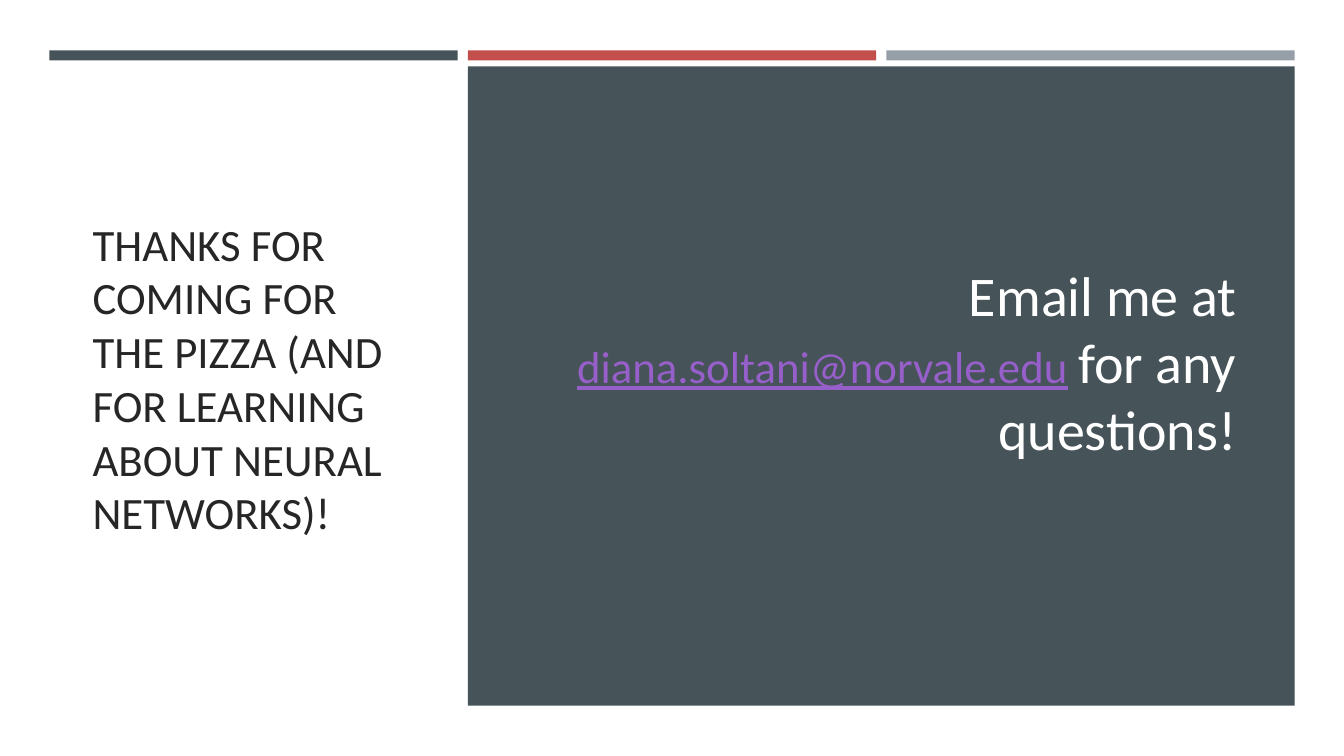
from pptx import Presentation
from pptx.dml.color import RGBColor
from pptx.enum.shapes import MSO_SHAPE
from pptx.enum.text import MSO_ANCHOR, PP_ALIGN
from pptx.util import Inches, Pt

WHITE = RGBColor(0xFF, 0xFF, 0xFF)
INK = RGBColor(0x26, 0x26, 0x26)
SLATE = RGBColor(0x46, 0x53, 0x59)
RED = RGBColor(0xC3, 0x4F, 0x4D)
GREY = RGBColor(0x96, 0x9F, 0xA7)
PURPLE = RGBColor(0x96, 0x5F, 0xC9)
FONT = "Calibri"


def add_block(slide, left, top, width, height, color):
    block = slide.shapes.add_shape(
        MSO_SHAPE.RECTANGLE, Inches(left), Inches(top), Inches(width), Inches(height))
    block.shadow.inherit = False
    block.fill.solid()
    block.fill.fore_color.rgb = color
    block.line.fill.background()


def add_paragraph_box(slide, left, top, width, height, runs, alignment):
    """Add one middle-anchored paragraph; runs are (text, size, color, underline)."""
    box = slide.shapes.add_textbox(
        Inches(left), Inches(top), Inches(width), Inches(height))
    text_frame = box.text_frame
    text_frame.word_wrap = True
    text_frame.vertical_anchor = MSO_ANCHOR.MIDDLE
    paragraph = text_frame.paragraphs[0]
    paragraph.alignment = alignment
    for text, size, color, underline in runs:
        run = paragraph.add_run()
        run.text = text
        run.font.name = FONT
        run.font.size = Pt(size)
        run.font.color.rgb = color
        run.font.underline = underline


def add_color_bars(slide, left, top, width, height, gap=0.1):
    colors = (SLATE, RED, GREY)
    bar_width = (width - gap * (len(colors) - 1)) / len(colors)
    for index, color in enumerate(colors):
        add_block(slide, left + index * (bar_width + gap), top, bar_width, height, color)


def add_title(slide, left, top, width, height):
    title = "THANKS FOR COMING FOR THE PIZZA (AND FOR LEARNING ABOUT NEURAL NETWORKS)!"
    add_paragraph_box(slide, left, top, width, height,
                      [(title, 32, INK, False)], PP_ALIGN.LEFT)


def add_contact_panel(slide, left, top, width, height):
    add_block(slide, left, top, width, height, SLATE)
    runs = [
        ("Email me at ", 40, WHITE, False),
        ("diana.soltani@norvale.edu", 32, PURPLE, True),
        (" ", 32, WHITE, False),
        ("for any questions!", 40, WHITE, False),
    ]
    add_paragraph_box(slide, left + 0.5, top + 0.51, width - 0.98, height - 1.51,
                      runs, PP_ALIGN.RIGHT)


def main():
    presentation = Presentation()
    presentation.slide_width = Inches(13.33)
    presentation.slide_height = Inches(7.5)
    slide = presentation.slides.add_slide(presentation.slide_layouts[6])
    slide.background.fill.solid()
    slide.background.fill.fore_color.rgb = WHITE
    add_title(slide, 0.82, 1.17, 3.34, 5.15)
    add_color_bars(slide, 0.49, 0.5, 12.35, 0.1)
    add_contact_panel(slide, 4.64, 0.66, 8.2, 6.34)
    presentation.save("out.pptx")


if __name__ == "__main__":
    main()
